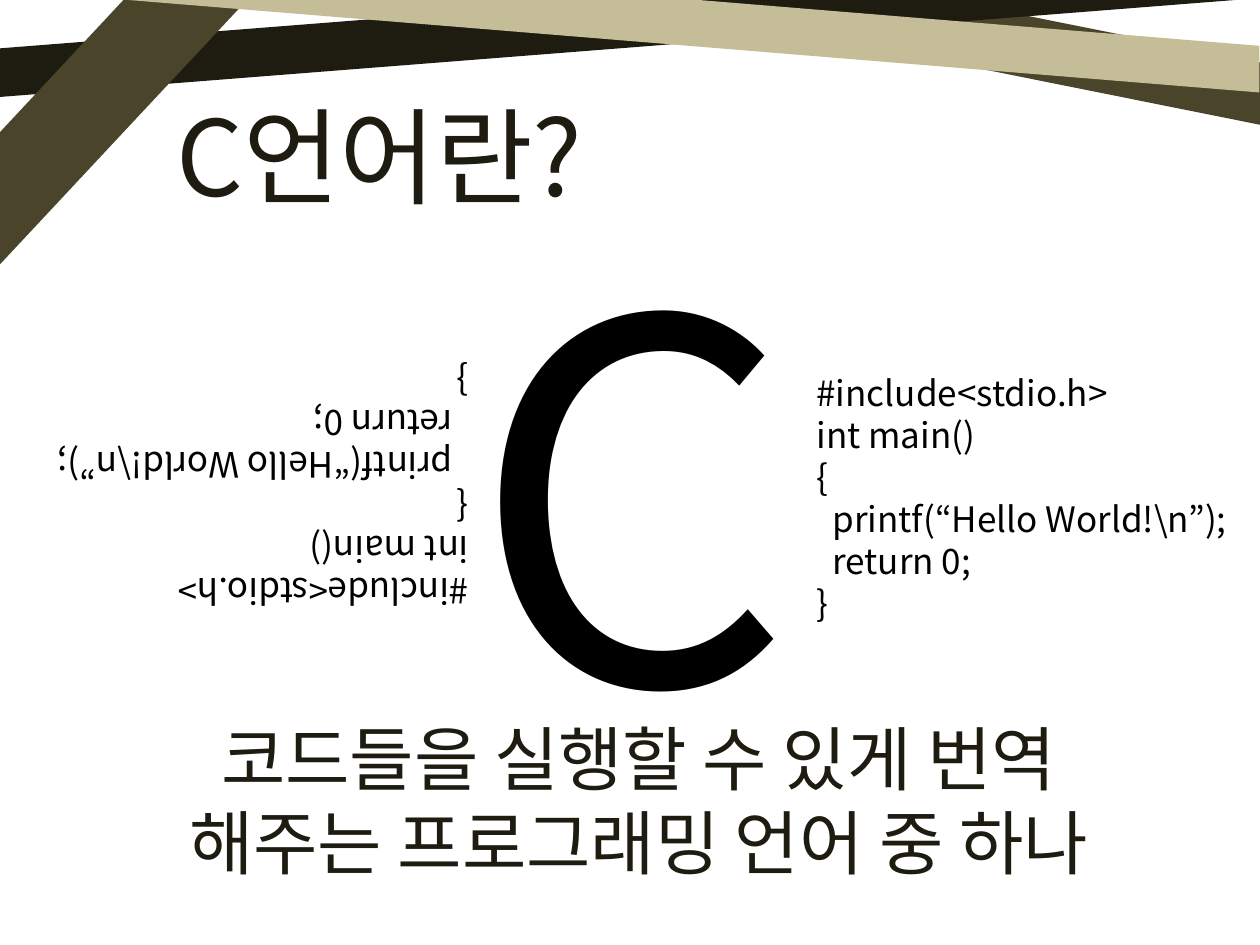
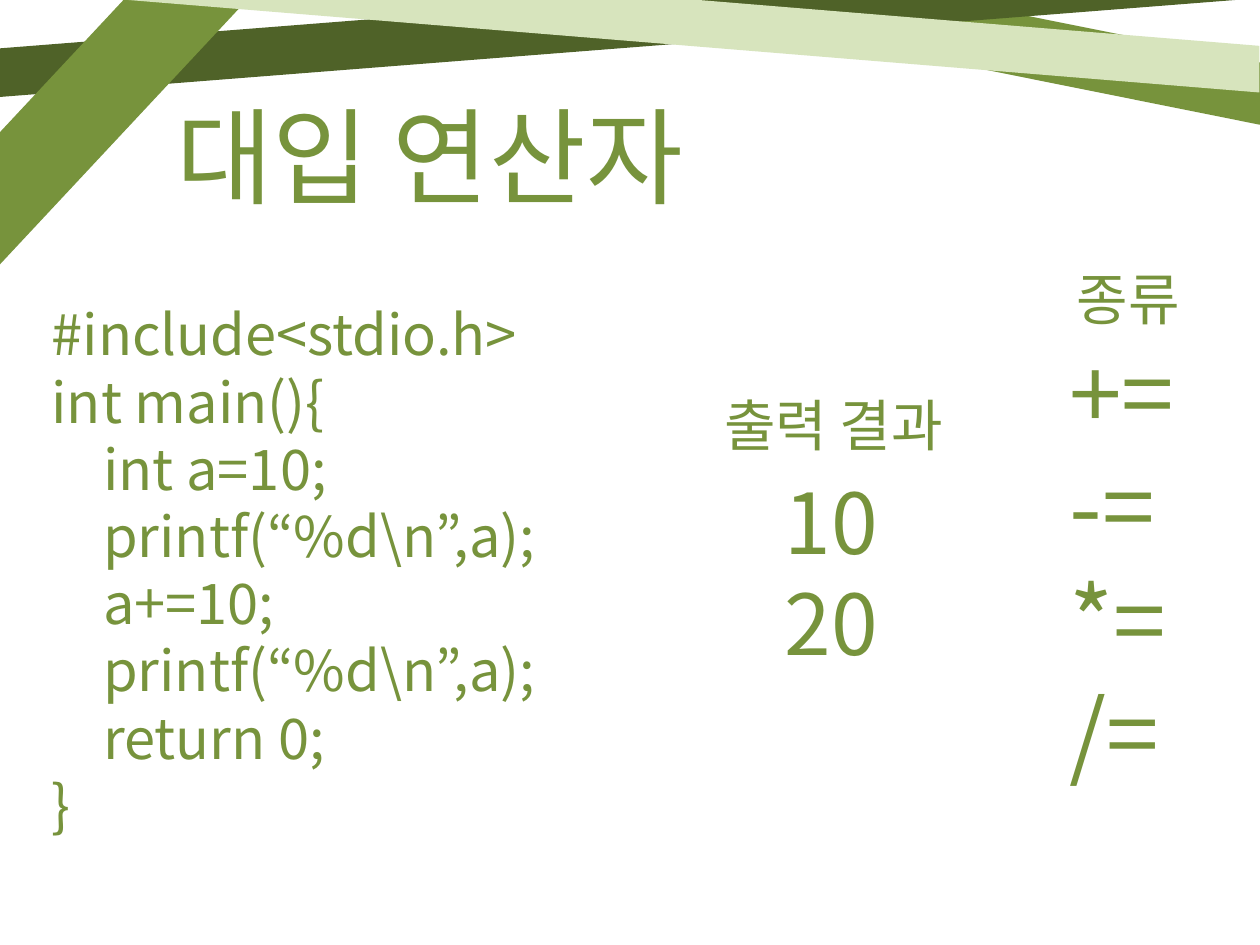
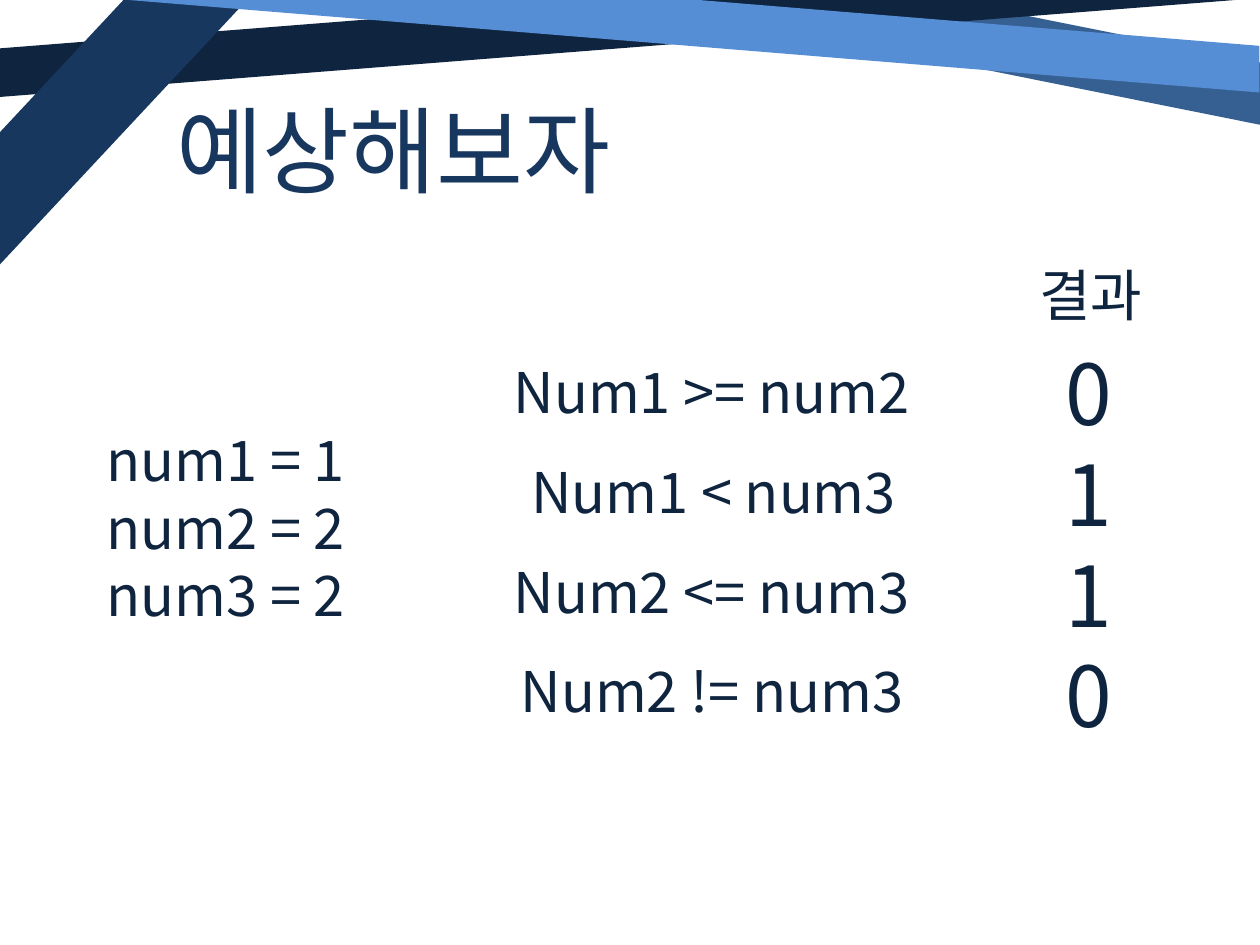
"""Build three slides on the C language under a crossed ribbon header."""
from pptx import Presentation
from pptx.dml.color import RGBColor
from pptx.enum.shapes import MSO_SHAPE
from pptx.enum.text import MSO_AUTO_SIZE, PP_ALIGN
from pptx.oxml.ns import qn
from pptx.util import Cm, Pt
from lxml.etree import SubElement

FONT = "Noto Sans CJK KR"
BLACK = RGBColor(0x00, 0x00, 0x00)
INK = RGBColor(0x1E, 0x1C, 0x11)
OLIVE = RGBColor(0x4A, 0x45, 0x2A)
SAND = RGBColor(0xC4, 0xBD, 0x97)
FOREST = RGBColor(0x4F, 0x62, 0x28)
GREEN = RGBColor(0x77, 0x93, 0x3C)
MINT = RGBColor(0xD7, 0xE4, 0xBD)
NIGHT = RGBColor(0x0F, 0x24, 0x3E)
NAVY = RGBColor(0x17, 0x37, 0x5E)
STEEL = RGBColor(0x37, 0x60, 0x92)
SKY = RGBColor(0x55, 0x8E, 0xD5)

BANDS = [
    (17.88, -5, 2.51, 12.52, 90, False),
    (11.51, -11.51, 1.96, 24.97, 90, True),
    (0, 0, 4.98, 5.33, 0, False),
    (12.95, -10.57, 1.88, 22.99, 90, False),
]

deck = Presentation()
deck.slide_width, deck.slide_height = Cm(25.4), Cm(19.05)


def write(slide, text, box, size, color, wrap=False, align=None, turn=0, indent=0):
    """Add a text box; a line that starts with a tab gets the indent."""
    shape = slide.shapes.add_textbox(*map(Cm, box))
    shape.rotation = turn
    frame = shape.text_frame
    frame.word_wrap = wrap
    frame.auto_size = MSO_AUTO_SIZE.SHAPE_TO_FIT_TEXT
    for row, line in enumerate(text.split("\n")):
        para = frame.add_paragraph() if row else frame.paragraphs[0]
        para.alignment = align
        if line.startswith("\t"):
            para._p.get_or_add_pPr().set("marL", str(Cm(indent)))
        run = para.add_run()
        run.text = line.strip()
        run.font.name = FONT
        run.font.size = Pt(size)
        run.font.color.rgb = color
        SubElement(run.font._element, qn("a:ea")).set("typeface", FONT)


def start(title, size, color, width, height, fills):
    """Add a slide with its ribbons and title."""
    slide = deck.slides.add_slide(deck.slide_layouts[6])
    for (left, top, wide, high, turn, flip), fill in zip(BANDS, fills):
        band = slide.shapes.add_shape(
            MSO_SHAPE.DIAGONAL_STRIPE, Cm(left), Cm(top), Cm(wide), Cm(high))
        band.rotation = turn
        if flip:
            band._element.spPr.xfrm.set("flipV", "1")
        band.shadow.inherit = False
        band.fill.solid()
        band.fill.fore_color.rgb = fill
        band.line.fill.background()
    write(slide, title, (3.3, 1.73, width, height), size, color, wrap=True)
    return slide


slide = start("C언어란?", 60, INK, 16.28, 2.82, [OLIVE, INK, OLIVE, SAND])
write(slide, "코드들을 실행할 수 있게 번역\n해주는 프로그래밍 언어 중 하나",
      (1.93, 14.3, 21.89, 3.68), 40, INK, wrap=True, align=PP_ALIGN.CENTER)
write(slide, "C", (9.25, 3.56, 7.26, 12.52), 287, BLACK)
hello = "#include<stdio.h>\nint main()\n{\n\tprintf(“Hello World!\\n”);\n\treturn 0;\n}"
for left, top, turn in [(16.21, 7.37, 0), (0.23, 7.11, 180)]:
    write(slide, hello, (left, top, 9.47, 5.38), 20, BLACK, turn=turn, indent=0.32)

slide = start("대입 연산자", 60, GREEN, 20.6, 2.82, [GREEN, FOREST, GREEN, MINT])
code = ("#include<stdio.h>\nint main(){\n\tint a=10;\n\tprintf(“%d\\n”,a);\n"
        "\ta+=10;\n\tprintf(“%d\\n”,a);\n\treturn 0;\n}")
write(slide, code, (0.79, 5.92, 11.53, 11.2), 32, GREEN, indent=1.04)
write(slide, "+=\n-=\n*=\n/=", (21.31, 6.63, 3, 9.5), 54, GREEN)
write(slide, "10\n20", (15.57, 9.37, 2.67, 4.37), 48, GREEN)
write(slide, "출력 결과", (14.35, 7.75, 5.16, 1.63), 32, GREEN)
write(slide, "종류", (21.46, 5.21, 2.67, 1.63), 32, GREEN)

slide = start("예상해보자", 54, NAVY, 20.6, 2.57, [STEEL, NIGHT, NAVY, SKY])
write(slide, "num1 = 1\nnum2 = 2\nnum3 = 2", (1.9, 8.46, 5.69, 4.37), 32, NIGHT)
write(slide, "0\n1\n1\n0", (21.23, 6.76, 1.6, 8.46), 48, NIGHT)
write(slide, "결과", (20.7, 5.13, 2.67, 1.63), 32, NIGHT)
tests = [("Num1 >= num2", 8.89), ("Num1 < num3", 8.18),
         ("Num2 <= num3", 8.89), ("Num2 != num3", 8.61)]
for row, (test, width) in enumerate(tests):
    write(slide, test, (14.55 - width / 2, 7.09 + 2.01 * row, width, 1.63), 32, NIGHT)

deck.save("out.pptx")
